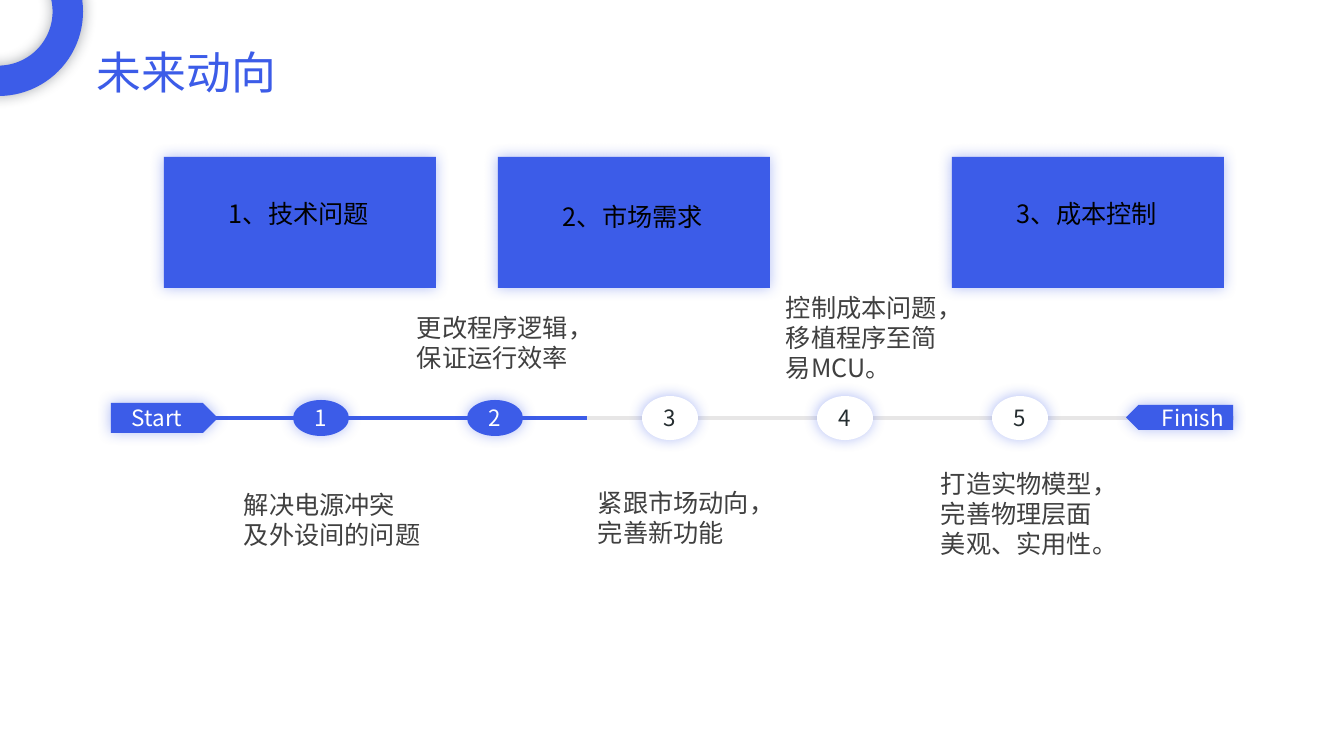
"""Build the future directions slide: three themes above a five-step timeline."""
from lxml import etree
from pptx import Presentation
from pptx.dml.color import RGBColor
from pptx.enum.shapes import MSO_CONNECTOR, MSO_SHAPE
from pptx.enum.text import MSO_ANCHOR, PP_ALIGN
from pptx.oxml.ns import qn
from pptx.util import Pt

EMU_PER_PX = 914400 / 100.8
FONT = "Noto Sans CJK SC"
COLORS = {
    "blue": "3C5CE8", "white": "FFFFFF", "track": "E7E6E6", "body": "404040",
    "number": "252D30", "black": "000000", "ring_shadow": "222A35",
}
OVAL, PLATE = MSO_SHAPE.OVAL, MSO_SHAPE.PENTAGON
RING, CARD = MSO_SHAPE.DONUT, MSO_SHAPE.RECTANGLE
STRAIGHT = MSO_CONNECTOR.STRAIGHT
TOP, MIDDLE = MSO_ANCHOR.TOP, MSO_ANCHOR.MIDDLE
LEFT, CENTER, RIGHT = PP_ALIGN.LEFT, PP_ALIGN.CENTER, PP_ALIGN.RIGHT

prs = Presentation()
prs.slide_width = round(1344 * EMU_PER_PX)
prs.slide_height = round(756 * EMU_PER_PX)
slide = prs.slides.add_slide(prs.slide_layouts[6])


def add_glowing(preset, box, fill="blue", glow="blue"):
    shape = slide.shapes.add_shape(preset, *(round(v * EMU_PER_PX) for v in box))
    shape.fill.solid()
    shape.fill.fore_color.rgb = RGBColor.from_string(COLORS[fill])
    shape.line.fill.background()
    shape.shadow.inherit = False
    effects = shape._element.spPr.find(qn("a:effectLst"))
    shadow = etree.SubElement(effects, qn("a:outerShdw"), blurRad=str(Pt(10)),
                              dist="0", dir="0", algn="ctr", rotWithShape="0")
    color = etree.SubElement(shadow, qn("a:srgbClr"), val=COLORS[glow])
    etree.SubElement(color, qn("a:alpha"), val="40000")
    return shape


def add_text(text, box, size, color, align=LEFT, anchor=TOP, inset=None):
    label = slide.shapes.add_textbox(*(round(v * EMU_PER_PX) for v in box))
    frame = label.text_frame
    frame.word_wrap = True
    frame.vertical_anchor = anchor
    if inset is not None:
        frame.margin_left = frame.margin_right = inset
        frame.margin_top = frame.margin_bottom = inset
    frame.text = text
    for paragraph in frame.paragraphs:
        paragraph.alignment = align
        for run in paragraph.runs:
            run.font.size = Pt(size)
            run.font.name = FONT
            run.font.color.rgb = RGBColor.from_string(COLORS[color])
            east_asian = etree.SubElement(run._r.get_or_add_rPr(), qn("a:ea"))
            east_asian.set("typeface", FONT)


AXIS_Y = 418
for start_x, end_x, color in [(587, 1234, "track"), (114, 587, "blue")]:
    track = slide.shapes.add_connector(
        STRAIGHT, *(round(v * EMU_PER_PX) for v in (start_x, AXIS_Y, end_x, AXIS_Y)))
    track.line.color.rgb = RGBColor.from_string(COLORS[color])
    track.line.width = Pt(3)
    etree.SubElement(track._element.spPr, qn("a:effectLst"))

finish = add_glowing(PLATE, (1126, 405, 107, 25))
finish.rotation = 180
add_text("Finish", (1142, 399, 92, 37), 16, "white", RIGHT, MIDDLE)
add_glowing(PLATE, (111, 403, 107, 30))
add_text("Start", (122, 399, 80, 37), 16, "white", LEFT, MIDDLE)

steps = [
    ("解决电源冲突\n及外设间的问题", 234, 484, 199),
    ("更改程序逻辑，保证运行效率", 407, 307, 195),
    ("紧跟市场动向，\n完善新功能", 588, 482, 199),
    ("控制成本问题，\n移植程序至简\n易MCU。", 776, 287, 199),
    ("打造实物模型，\n完善物理层面\n美观、实用性。", 931, 463, 199),
]
for index, (description, left, top, width) in enumerate(steps):
    done = index < 2
    marker_x = 293 + 699 * index // 4
    height = 36 if done else 44
    add_glowing(OVAL, (marker_x, AXIS_Y - height // 2, 56, height),
                "blue" if done else "white")
    add_text(str(index + 1), (marker_x, 404, 56, 28), 16,
             "white" if done else "number", CENTER, MIDDLE, 0)
    add_text(description, (left, top, width, 72 if len(description) < 16 else 102),
             18, "body")

ring = add_glowing(RING, (-86, -73, 169, 169), glow="ring_shadow")
ring.adjustments[0] = 0.18
add_text("未来动向", (87, 40, 466, 65), 32, "blue")

themes = [("1、技术问题", 164, 193), ("2、市场需求", 498, 196), ("3、成本控制", 952, 193)]
for theme, left, text_top in themes:
    add_glowing(CARD, (left, 157, 272, 131))
    add_text(theme, (left + 55, text_top, 162, 40), 18, "black")

prs.save("out.pptx")
